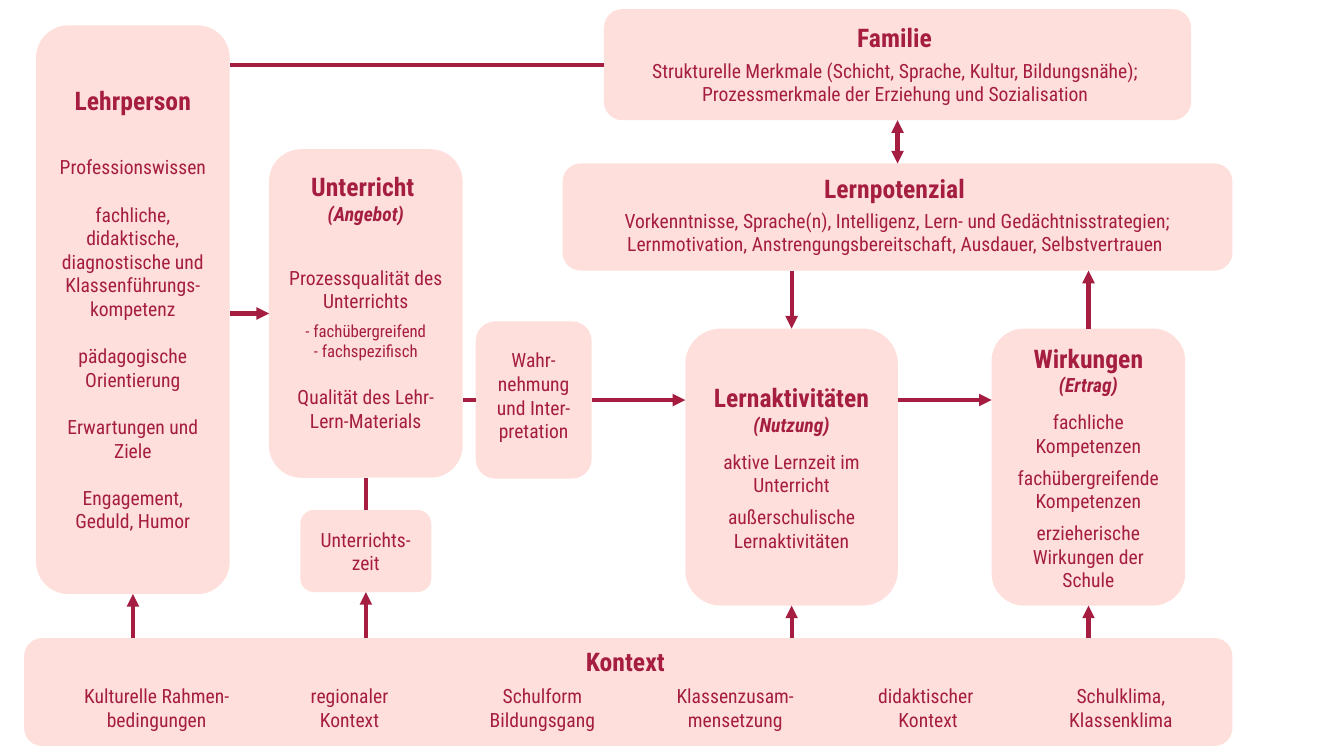
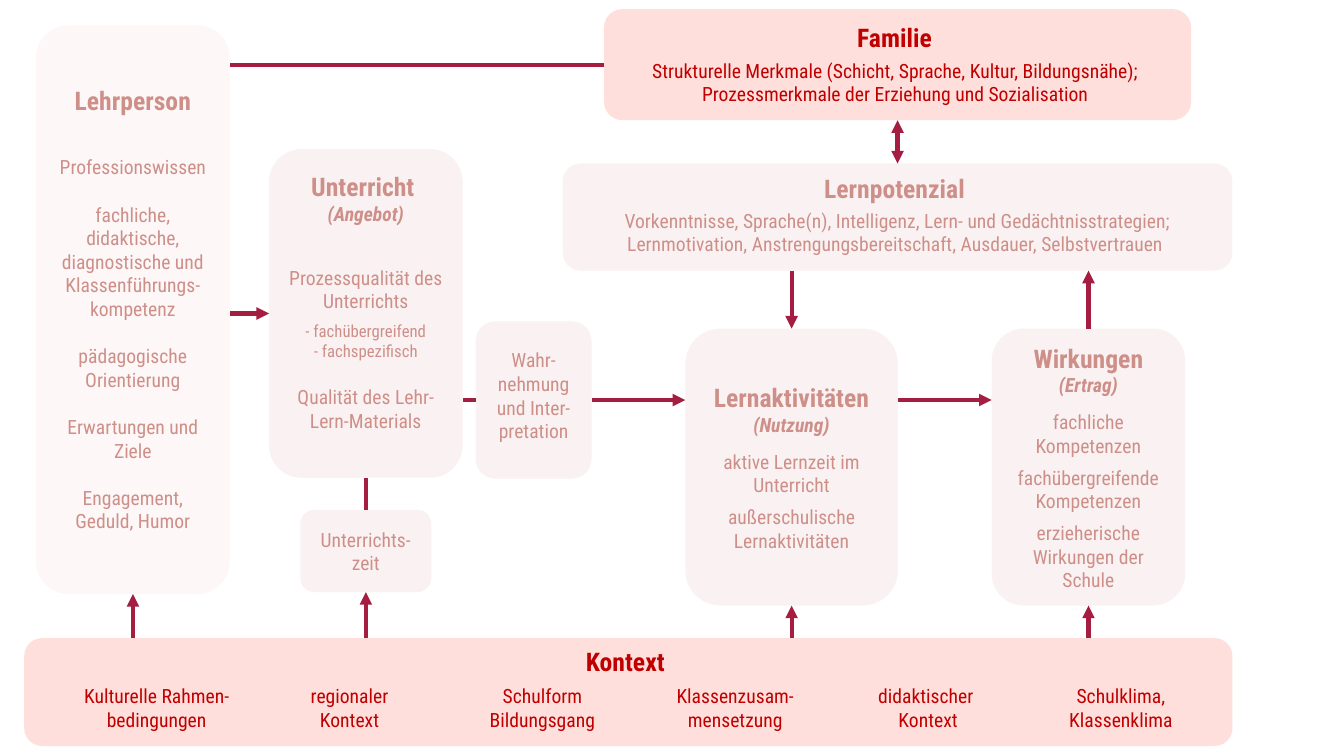
from pptx import Presentation
from pptx.dml.color import RGBColor
from pptx.enum.shapes import MSO_CONNECTOR, MSO_SHAPE
from pptx.enum.text import MSO_ANCHOR, PP_ALIGN
from pptx.oxml.ns import qn
from pptx.util import Cm, Pt
from lxml import etree

ROUNDED = MSO_SHAPE.ROUNDED_RECTANGLE
STRAIGHT = MSO_CONNECTOR.STRAIGHT
CENTER = PP_ALIGN.CENTER
TOP_ANCHOR, MIDDLE_ANCHOR = MSO_ANCHOR.TOP, MSO_ANCHOR.MIDDLE
TOP, LEFT, BOTTOM, RIGHT = range(4)

FONT = "Roboto Condensed"
WINE = RGBColor(0xA5, 0x1E, 0x41)
RED = RGBColor(0xC0, 0x00, 0x00)
DUSTY = RGBColor(0xCE, 0x8F, 0x89)
BLUSH = RGBColor(0xFF, 0xDF, 0xDC)
PALE = RGBColor(0xFA, 0xF2, 0xF2)
PALEST = RGBColor(0xFD, 0xF7, 0xF7)

ROLES = {
    "title": {"size": Pt(18.3), "bold": True, "italic": False},
    "subtitle": {"size": Pt(14), "bold": True, "italic": True},
    "body": {"size": Pt(14), "bold": False, "italic": False},
    "small": {"size": Pt(12), "bold": False, "italic": False},
}

# Box styles: fill, text colour
NORMAL = (BLUSH, WINE)
FADED = (PALE, DUSTY)
FAINT = (PALEST, DUSTY)
STRONG = (BLUSH, RED)

# One entry per slide: the usual style and the boxes that differ
PAGES = [
    (NORMAL, {}),
    (FADED, {"Lehrperson": FAINT, "Familie": STRONG, "Kontext": STRONG}),
]

# Place in cm (left, top, width, height), then paragraphs (role, text, points before)
BOXES = {
    "Lehrperson": ((0.91, 0.64, 4.88, 14.33), [
        ("title", "Lehrperson", 0),
        ("body", "Professionswissen", 28.5),
        ("body", "fachliche, didaktische, diagnostische und Klassenführungs-kompetenz", 17),
        ("body", "pädagogische Orientierung", 17),
        ("body", "Erwartungen und Ziele", 17),
        ("body", "Engagement, Geduld, Humor", 17)]),
    "Familie": ((15.22, 0.23, 14.8, 2.8), [
        ("title", "Familie ", 0),
        ("body", "Strukturelle Merkmale (Schicht, Sprache, Kultur, Bildungsnähe); ", 4),
        ("body", "Prozessmerkmale der Erziehung und Sozialisation ", 0)]),
    "Lernpotenzial": ((14.18, 4.12, 16.88, 2.7), [
        ("title", "Lernpotenzial ", 0),
        ("body", "Vorkenntnisse, Sprache(n), Intelligenz, Lern- und Gedächtnisstrategien; "
                 "Lernmotivation, Anstrengungsbereitschaft, Ausdauer, Selbstvertrauen ", 3.5)]),
    "Lernaktivitäten": ((17.27, 8.28, 5.36, 6.98), [
        ("title", "Lernaktivitäten", 0),
        ("subtitle", "(Nutzung)", 0),
        ("body", "aktive Lernzeit im Unterricht", 9.5),
        ("body", "außerschulische Lernaktivitäten", 6)]),
    "Wirkungen": ((24.99, 8.28, 4.88, 6.98), [
        ("title", "Wirkungen", 0),
        ("subtitle", "(Ertrag)", 0),
        ("body", "fachliche Kompetenzen", 9.5),
        ("body", "fachübergreifende Kompetenzen", 6),
        ("body", "erzieherische Wirkungen der Schule", 6)]),
    "Unterrichtszeit": ((7.57, 12.85, 3.3, 2.07), [("body", "Unterrichts-zeit", 0)]),
    "Unterricht": ((6.78, 3.76, 4.88, 8.28), [
        ("title", "Unterricht ", 0),
        ("subtitle", "(Angebot)", 0),
        ("body", "Prozessqualität des Unterrichts", 28.5),
        ("small", "- fachübergreifend", 6),
        ("small", "- fachspezifisch", 0),
        ("body", "Qualität des Lehr-Lern-Materials", 17)]),
    "Wahrnehmung": ((11.99, 8.1, 2.92, 3.96), [
        ("body", "Wahr-nehmung und Inter-pretation", 0)]),
    "Kontext": ((0.61, 16.08, 30.45, 2.72), [("title", "Kontext ", 0)]),
}

# Top and bottom text margins in cm where they are not the usual ones
USUAL_MARGINS = (0.13, 0.13)
MARGINS = {
    "Lehrperson": (0.13, 0.18),
    "Familie": (0.1, 0.13),
    "Lernpotenzial": (0, 0.13),
    "Unterrichtszeit": (0.15, 0.13),
    "Unterricht": (0.13, 0.72),
    "Wahrnehmung": (0.13, 0.36),
    "Kontext": (0.07, 0.13),
}

# Start box and side, end box and side, box whose middle the line runs through, heads
LINKS = [
    ("Familie", LEFT, "Lehrperson", RIGHT, "Familie", ()),
    ("Wirkungen", TOP, "Lernpotenzial", BOTTOM, "Wirkungen", ("tailEnd",)),
    ("Lernpotenzial", TOP, "Familie", BOTTOM, "Familie", ("headEnd", "tailEnd")),
    ("Lehrperson", RIGHT, "Unterricht", LEFT, "Unterricht", ("tailEnd",)),
    ("Unterrichtszeit", TOP, "Unterricht", BOTTOM, "Unterricht", ()),
    ("Wahrnehmung", LEFT, "Unterricht", RIGHT, "Wahrnehmung", ()),
    ("Wahrnehmung", RIGHT, "Lernaktivitäten", LEFT, "Wahrnehmung", ("tailEnd",)),
    ("Lernaktivitäten", RIGHT, "Wirkungen", LEFT, "Wahrnehmung", ("tailEnd",)),
    ("Lernpotenzial", BOTTOM, "Lernaktivitäten", TOP, "Lernaktivitäten", ("tailEnd",)),
] + [
    ("Kontext", TOP, target, BOTTOM, target, ("tailEnd",))
    for target in ("Lehrperson", "Unterrichtszeit", "Lernaktivitäten", "Wirkungen")
]

CONTEXTS = [
    ("Kulturelle Rahmen-", "bedingungen"),
    ("regionaler", "Kontext"),
    ("Schulform", "Bildungsgang"),
    ("Klassenzusam-", "mensetzung"),
    ("didaktischer ", "Kontext"),
    ("Schulklima,", "Klassenklima"),
]
CONTEXT_LEFT, CONTEXT_TOP, CONTEXT_PITCH = 1.7, 17.12, 4.86
CONTEXT_WIDTH, CONTEXT_HEIGHT = 4.5, 1.45


def write(frame, paragraphs, ink):
    frame.word_wrap = True
    for number, (role, text, before) in enumerate(paragraphs):
        para = frame.paragraphs[0] if number == 0 else frame.add_paragraph()
        para.alignment = CENTER
        para.space_before = Pt(before)
        span = para.add_run()
        span.text = text
        span.font.name = FONT
        span.font.color.rgb = ink
        for name, value in ROLES[role].items():
            setattr(span.font, name, value)


def add_box(page, name, style):
    place, paragraphs = BOXES[name]
    fill, ink = style
    box = page.shapes.add_shape(ROUNDED, *map(Cm, place))
    box.shadow.inherit = False
    box.line.fill.background()
    box.fill.solid()
    box.fill.fore_color.rgb = fill
    frame = box.text_frame
    frame.vertical_anchor = TOP_ANCHOR if name == "Kontext" else MIDDLE_ANCHOR
    top, bottom = MARGINS.get(name, USUAL_MARGINS)
    frame.margin_top, frame.margin_bottom = Cm(top), Cm(bottom)
    write(frame, paragraphs, ink)
    return box


def side_middle(box, side):
    """Return the middle of a side, or of the whole box if side is None."""
    x = {LEFT: box.left, RIGHT: box.left + box.width}.get(side, box.left + box.width // 2)
    y = {TOP: box.top, BOTTOM: box.top + box.height}.get(side, box.top + box.height // 2)
    return x, y


def add_link(page, boxes, link):
    """Draw a straight line and join each end that meets the middle of a side."""
    start, start_side, end, end_side, guide, heads = link
    guide_x, guide_y = side_middle(boxes[guide], None)
    ends = []
    for name, side in ((start, start_side), (end, end_side)):
        x, y = side_middle(boxes[name], side)
        point = (guide_x, y) if side in (TOP, BOTTOM) else (x, guide_y)
        offset = abs(point[0] - x) + abs(point[1] - y)
        ends.append((point, offset < Cm(0.02)))
    (begin, begin_joins), (finish, finish_joins) = ends
    line = page.shapes.add_connector(STRAIGHT, *begin, *finish)
    if begin_joins:
        line.begin_connect(boxes[start], start_side)
    if finish_joins:
        line.end_connect(boxes[end], end_side)
    line.line.color.rgb = WINE
    line.line.width = Pt(3)
    for head in heads:
        etree.SubElement(line.line._get_or_add_ln(), qn("a:" + head), type="triangle")
    etree.SubElement(line._element.spPr, qn("a:effectLst"))


def add_contexts(page, ink):
    for column, lines in enumerate(CONTEXTS):
        left = CONTEXT_LEFT + column * CONTEXT_PITCH
        place = (left, CONTEXT_TOP, CONTEXT_WIDTH, CONTEXT_HEIGHT)
        label = page.shapes.add_textbox(*map(Cm, place))
        write(label.text_frame, [("body", text, 0) for text in lines], ink)


def main():
    deck = Presentation()
    deck.slide_width, deck.slide_height = Cm(33.87), Cm(19.05)
    for usual, special in PAGES:
        page = deck.slides.add_slide(deck.slide_layouts[6])
        boxes = {name: add_box(page, name, special.get(name, usual)) for name in BOXES}
        for link in LINKS:
            add_link(page, boxes, link)
        _, context_ink = special.get("Kontext", usual)
        add_contexts(page, context_ink)
    deck.save("out.pptx")


if __name__ == "__main__":
    main()
